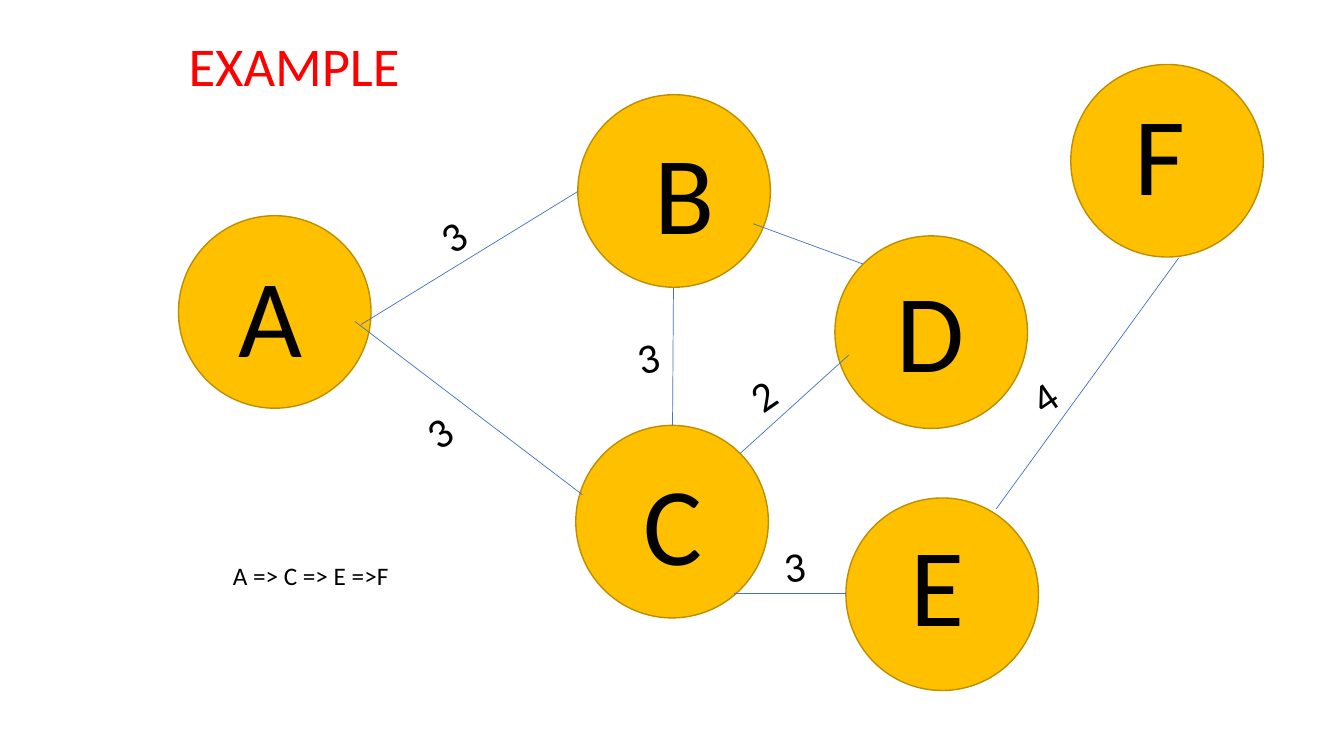
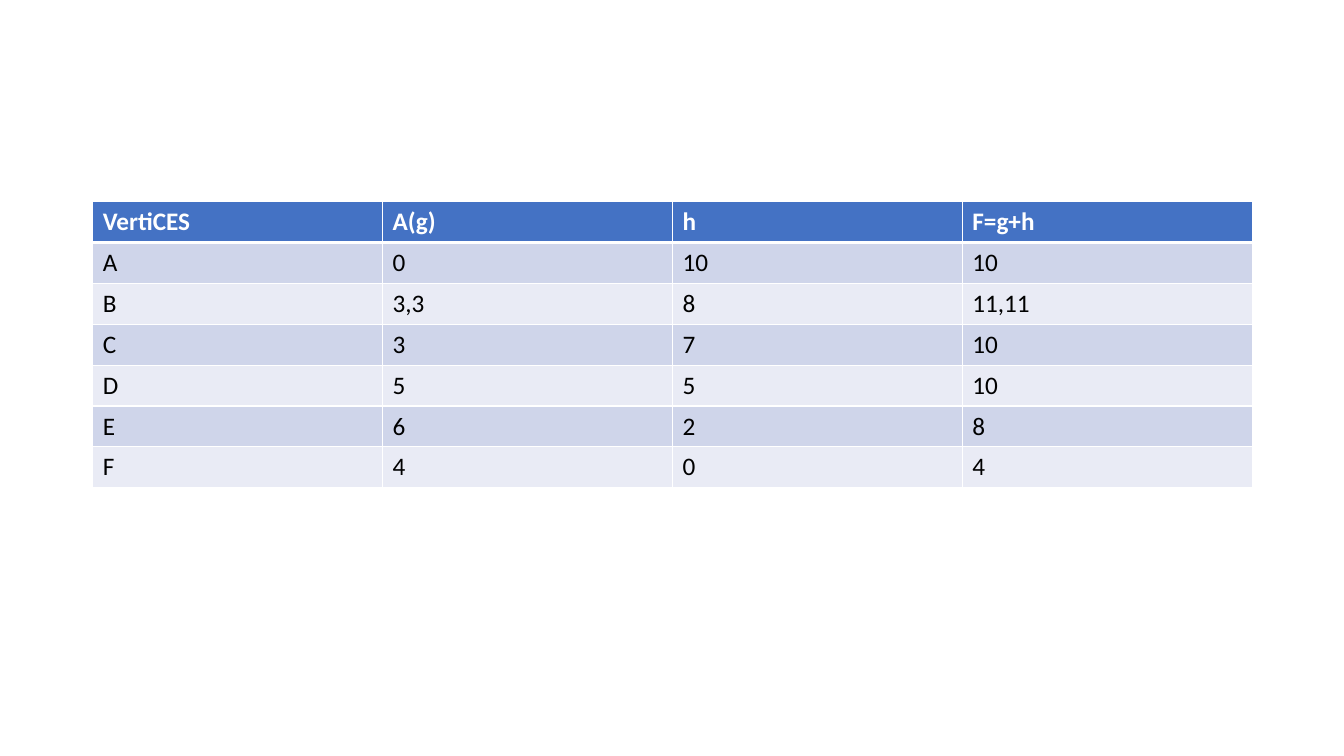
from lxml.etree import SubElement
from pptx import Presentation
from pptx.dml.color import RGBColor
from pptx.enum.shapes import MSO_CONNECTOR, MSO_SHAPE
from pptx.enum.text import MSO_ANCHOR, PP_ALIGN
from pptx.oxml import parse_xml
from pptx.oxml.ns import nsdecls, qn
from pptx.util import Inches, Pt

FONT = "Calibri"
BLACK = RGBColor(0x00, 0x00, 0x00)
WHITE = RGBColor(0xFF, 0xFF, 0xFF)
RED = RGBColor(0xFF, 0x00, 0x00)
BLUE = RGBColor(0x44, 0x72, 0xC4)
GOLD = RGBColor(0xFF, 0xC0, 0x00)
DARK_GOLD = RGBColor(0xBD, 0x8E, 0x00)
BANDS = [RGBColor(0xCF, 0xD5, 0xEA), RGBColor(0xE9, 0xEB, 0xF5)]

prs = Presentation()
prs.slide_width, prs.slide_height = Inches(13.33), Inches(7.5)
TITLE_ONLY, BLANK = prs.slide_layouts[5], prs.slide_layouts[6]


def place(x, y):
    """Turn percentages of the slide's width and height into lengths."""
    return int(prs.slide_width * x / 100), int(prs.slide_height * y / 100)


def write(tf, text, size=18, color=BLACK, bold=False):
    tf.word_wrap = True
    tf.vertical_anchor = MSO_ANCHOR.TOP
    p = tf.paragraphs[0]
    p.alignment = PP_ALIGN.LEFT
    r = p.add_run()
    r.text = text
    r.font.name, r.font.size, r.font.bold = FONT, Pt(size), bold
    r.font.color.rgb = color


# Slide 1: weighted graph
s = prs.slides.add_slide(TITLE_ONLY)
title = s.shapes.title
title.left, title.top = place(13.28, 3.6)
title.width, title.height = place(19.58, 10.13)
write(title.text_frame, "EXAMPLE", size=39, color=RED)

# name: (circle's corner, letter's corner)
nodes = {
    "A": ((13.28, 28.53), (17.03, 32)),
    "B": ((42.99, 12.53), (47.94, 15.73)),
    "C": ((42.84, 56.27), (47.11, 59.47)),
    "D": ((62.12, 31.2), (65.94, 34)),
    "E": ((62.94, 65.87), (66.99, 67.6)),
    "F": ((79.67, 8.53), (83.65, 10.53)),
}
diameter = Inches(1.91)
for corner, _ in nodes.values():
    sp = s.shapes.add_shape(MSO_SHAPE.OVAL, *place(*corner), diameter, diameter)
    sp.shadow.inherit = False
    sp.fill.solid()
    sp.fill.fore_color.rgb = GOLD
    sp.line.color.rgb = DARK_GOLD
    sp.line.width = Pt(1)

edges = [
    ((26.41, 42.53), (43.36, 65.47)),
    ((26.86, 42.93), (42.99, 25.33)),
    ((56.04, 29.6), (64.22, 34.93)),
    ((50.04, 56.27), (50.11, 38.13)),
    ((74.12, 67.33), (87.7, 34.13)),
    ((55.06, 60), (63.17, 46.93)),
    ((54.61, 78.53), (62.94, 78.53)),
]
for start, end in edges:
    line = s.shapes.add_connector(MSO_CONNECTOR.STRAIGHT, *place(*start), *place(*end))
    line.line.color.rgb = BLUE
    line.line.width = Pt(0.5)
    SubElement(line._element.spPr, qn("a:effectLst"))

# text, corner, height, size, rotation
labels = [(name, corner, 19.07, 79, 0) for name, (_, corner) in nodes.items()]
weights = [
    ("3", (31.13, 21.2), -34.5),
    ("3", (46.51, 40.67), -14),
    ("4", (75.09, 42.4), -34.5),
    ("3", (30.08, 47.07), -34.5),
    ("2", (54.16, 42.13), -34.5),
    ("3", (57.54, 69.33), -7.7),
]
labels += [(text, corner, 8.13, 30, angle) for text, corner, angle in weights]
labels.append(("A => C => E =>F", (16.58, 73.47), 5.33, 18, 0))
for text, corner, height, size, angle in labels:
    box = s.shapes.add_textbox(*place(*corner), *place(15, height))
    box.rotation = angle
    write(box.text_frame, text, size=size)

# Slide 2: cost table
s = prs.slides.add_slide(BLANK)
rows = [
    ("VertiCES", "A(g)", "h", "F=g+h"),
    ("A", "0", "10", "10"),
    ("B", "3,3", "8", "11,11"),
    ("C", "3", "7", "10"),
    ("D", "5", "5", "10"),
    ("E", "6", "2", "8"),
    ("F", "4", "0", "4"),
]
table = s.shapes.add_table(len(rows), len(rows[0]), Inches(0.92), Inches(2),
                           Inches(11.5), Inches(2.83)).table
for i, row in enumerate(rows):
    header = i == 0
    for j, text in enumerate(row):
        cell = table.cell(i, j)
        cell.fill.solid()
        cell.fill.fore_color.rgb = BLUE if header else BANDS[(i - 1) % 2]
        write(cell.text_frame, text, color=WHITE if header else BLACK, bold=header)
        tcPr = cell._tc.get_or_add_tcPr()
        for k, side in enumerate("LRTB"):
            thick = (header and side == "B") or (i == 1 and side == "T")
            tcPr.insert(k, parse_xml(
                f'<a:ln{side} {nsdecls("a")} w="{Pt(3 if thick else 1)}">'
                f'<a:solidFill><a:srgbClr val="{WHITE}"/></a:solidFill></a:ln{side}>'))

prs.save("out.pptx")
